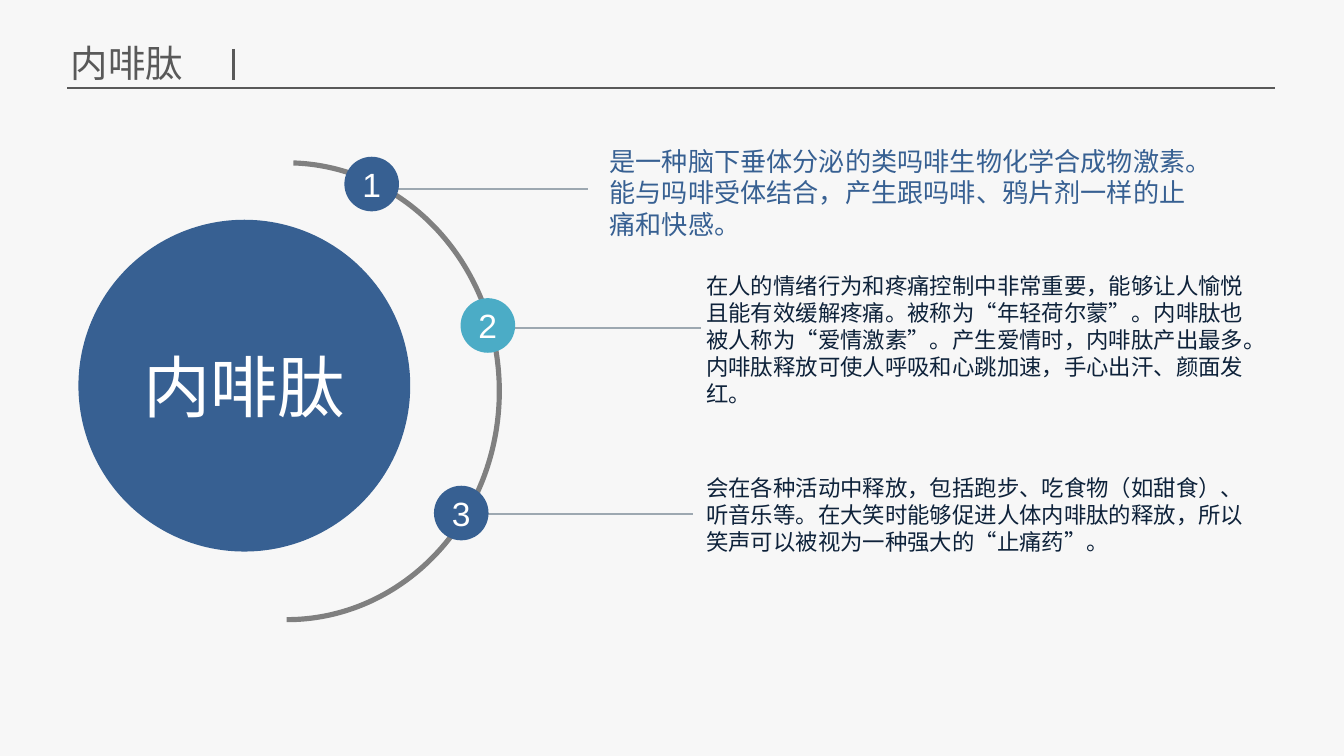
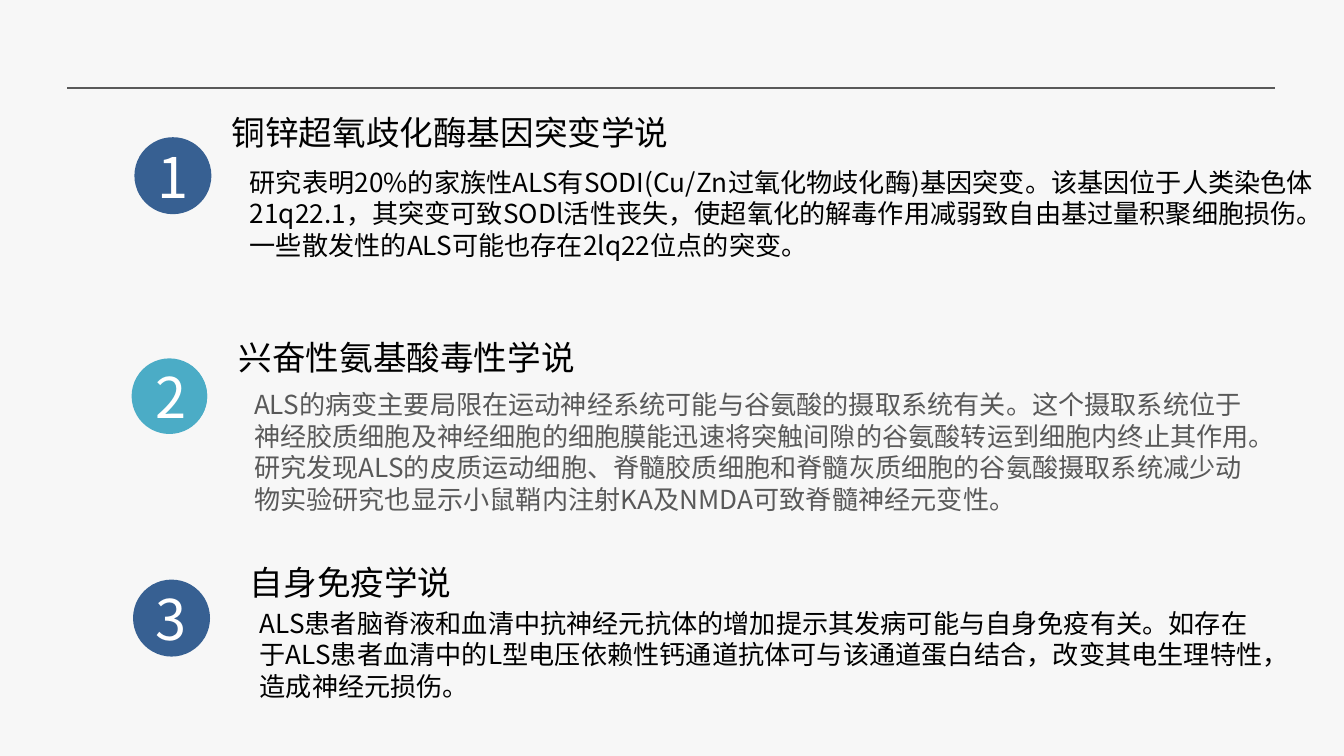
from dataclasses import dataclass

from lxml.etree import SubElement
from pptx import Presentation
from pptx.dml.color import RGBColor
from pptx.enum.shapes import MSO_CONNECTOR as Connector, MSO_SHAPE as Shape
from pptx.enum.text import MSO_ANCHOR as Anchor, MSO_AUTO_SIZE as AutoSize, PP_ALIGN as Align
from pptx.oxml.ns import qn
from pptx.util import Pt

PX = 9525
CJK = "Noto Sans CJK SC"
LATIN = "Arial"
COLORS = {
    "page": "F7F7F7",
    "navy": "376092",
    "teal": "4BACC6",
    "gray": "595959",
    "arc": "808080",
    "leader": "9DA8B1",
    "ink": "0E223A",
    "black": "000000",
    "white": "FFFFFF",
}


@dataclass(frozen=True)
class Style:
    size: int
    color: str
    font: str = CJK


@dataclass(frozen=True)
class Disc:
    left: int
    top: int
    size: int
    text: str
    fill: str = "navy"


@dataclass(frozen=True)
class Leader:
    left: int
    right: int
    y: int


@dataclass(frozen=True)
class Block:
    left: int
    top: int
    width: int
    height: int
    style: Style
    paragraphs: tuple[str, ...]
    wrap: bool = True
    gap: int = 0


TITLE = Style(20, "gray")
HEADING = Style(18, "black")
BODY = Style(14, "black")

ENDORPHIN_LEADERS = (Leader(270, 420, 135), Leader(361, 501, 234), Leader(344, 495, 367))
ENDORPHIN_DISCS = (
    Disc(246, 112, 39, "1"),
    Disc(329, 213, 39, "2", "teal"),
    Disc(310, 347, 39, "3"),
)
ENDORPHIN_BLOCKS = (
    Block(495, 190, 413, 215, Style(12, "ink"), (
        "在人的情绪行为和疼痛控制中非常重要，能够让人愉悦且能有效缓解疼痛。被称为“年轻荷尔蒙”。内啡肽也被人称为“爱情激素”。产生爱情时，内啡肽产出最多。内啡肽释放可使人呼吸和心跳加速，手心出汗、颜面发红。",
        "会在各种活动中释放，包括跑步、吃食物（如甜食）、听音乐等。在大笑时能够促进人体内啡肽的释放，所以笑声可以被视为一种强大的“止痛药”。",
    ), gap=36),
    Block(426, 99, 444, 78, Style(14, "navy", LATIN), (
        "是一种脑下垂体分泌的类吗啡生物化学合成物激素。能与吗啡受体结合，产生跟吗啡、鸦片剂一样的止痛和快感。",
    )),
)
THEORY_DISCS = (
    Disc(96, 98, 55, "1"),
    Disc(96, 257, 52, "2", "teal"),
    Disc(95, 414, 55, "3"),
)
THEORY_BLOCKS = (
    Block(156, 75, 331, 68, HEADING, ("铜锌超氧歧化酶基因突变学说",), wrap=False),
    Block(169, 114, 791, 70, BODY, (
        "研究表明20%的家族性ALS有SODI(Cu/Zn过氧化物歧化酶)基因突变。该基因位于人类染色体21q22.1，其突变可致SODl活性丧失，使超氧化的解毒作用减弱致自由基过量积聚细胞损伤。一些散发性的ALS可能也存在2lq22位点的突变。",
    )),
    Block(161, 236, 259, 68, HEADING, ("兴奋性氨基酸毒性学说",), wrap=False),
    Block(172, 273, 731, 100, Style(14, "gray"), (
        "ALS的病变主要局限在运动神经系统可能与谷氨酸的摄取系统有关。这个摄取系统位于神经胶质细胞及神经细胞的细胞膜能迅速将突触间隙的谷氨酸转运到细胞内终止其作用。研究发现ALS的皮质运动细胞、脊髓胶质细胞和脊髓灰质细胞的谷氨酸摄取系统减少动物实验研究也显示小鼠鞘内注射KA及NMDA可致脊髓神经元变性。",
    )),
    Block(169, 397, 163, 68, HEADING, ("自身免疫学说",), wrap=False),
    Block(176, 429, 740, 78, BODY, (
        "ALS患者脑脊液和血清中抗神经元抗体的增加提示其发病可能与自身免疫有关。如存在于ALS患者血清中的L型电压依赖性钙通道抗体可与该通道蛋白结合，改变其电生理特性，造成神经元损伤。",
    )),
)


def rgb(name: str) -> RGBColor:
    return RGBColor.from_string(COLORS[name])


def px(*lengths: int) -> list[int]:
    return [length * PX for length in lengths]


def format_text(frame, style: Style, align=Align.LEFT) -> None:
    for para in frame.paragraphs:
        para.alignment = align
        for span in para.runs:
            span.font.size = Pt(style.size)
            span.font.name = style.font
            span.font.color.rgb = rgb(style.color)
            SubElement(span.font._element, qn("a:ea")).set("typeface", CJK)


def add_line(page, start: tuple[int, int], end: tuple[int, int], color: str, weight: float):
    line = page.shapes.add_connector(Connector.STRAIGHT, *px(*start, *end))
    line.line.color.rgb = rgb(color)
    line.line.width = Pt(weight)
    SubElement(line.element.spPr, qn("a:effectLst"))
    return line


def add_solid(page, kind: Shape, bounds: tuple[int, int, int, int], fill: str):
    shape = page.shapes.add_shape(kind, *px(*bounds))
    shape.shadow.inherit = False
    shape.fill.solid()
    shape.fill.fore_color.rgb = rgb(fill)
    shape.line.fill.background()
    return shape


def add_disc(page, disc: Disc, style: Style) -> None:
    shape = add_solid(page, Shape.OVAL, (disc.left, disc.top, disc.size, disc.size), disc.fill)
    frame = shape.text_frame
    frame.margin_left = frame.margin_right = frame.margin_top = frame.margin_bottom = 0
    frame.word_wrap = False
    frame.vertical_anchor = Anchor.MIDDLE
    frame.text = disc.text
    format_text(frame, style, Align.CENTER)


def add_block(page, block: Block) -> None:
    box = page.shapes.add_textbox(*px(block.left, block.top, block.width, block.height))
    frame = box.text_frame
    frame.word_wrap = block.wrap
    frame.text = "\n".join(block.paragraphs)
    for para in frame.paragraphs[1:]:
        para.space_before = Pt(block.gap)
    format_text(frame, block.style)


def set_title(page, text: str) -> None:
    title = page.shapes.title
    title.left, title.top, title.width, title.height = px(41, 24, 100, 42)
    frame = title.text_frame
    frame.text = text
    frame.word_wrap = False
    frame.auto_size = AutoSize.NONE
    frame.vertical_anchor = Anchor.MIDDLE
    format_text(frame, TITLE)
    add_line(page, (167, 35), (167, 57), "gray", 1.5)


def set_master(deck, page) -> None:
    master = deck.slide_master
    master.background.fill.solid()
    master.background.fill.fore_color.rgb = rgb("page")
    rule = add_line(page, (48, 63), (911, 63), "gray", 0.75)
    master.shapes.element.append(rule.element)


def build_endorphin(page) -> None:
    set_title(page, "内啡肽")
    arc = add_solid(page, Shape.BLOCK_ARC, (40, 126, 330, 307), "arc")
    arc.rotation = 90
    for index, value in enumerate((108.97, 0.07, 0.012)):
        arc.adjustments[index] = value
    for leader in ENDORPHIN_LEADERS:
        add_line(page, (leader.left, leader.y), (leader.right, leader.y), "leader", 1)
    add_disc(page, Disc(56, 157, 237, "内啡肽"), Style(36, "white", LATIN))
    for disc in ENDORPHIN_DISCS:
        add_disc(page, disc, Style(18, "white", LATIN))
    for block in ENDORPHIN_BLOCKS:
        add_block(page, block)


def build_theories(page) -> None:
    ring = add_solid(page, Shape.DONUT, (94, 256, 54, 54), "teal")
    ring.adjustments[0] = 0.05
    for disc in THEORY_DISCS:
        add_disc(page, disc, Style(30, "white"))
    for block in THEORY_BLOCKS:
        add_block(page, block)


def main() -> None:
    deck = Presentation()
    deck.slide_width, deck.slide_height = px(960, 540)
    title_only, blank = deck.slide_layouts[5], deck.slide_layouts[6]
    endorphin = deck.slides.add_slide(title_only)
    set_master(deck, endorphin)
    build_endorphin(endorphin)
    build_theories(deck.slides.add_slide(blank))
    deck.save("out.pptx")


if __name__ == "__main__":
    main()
